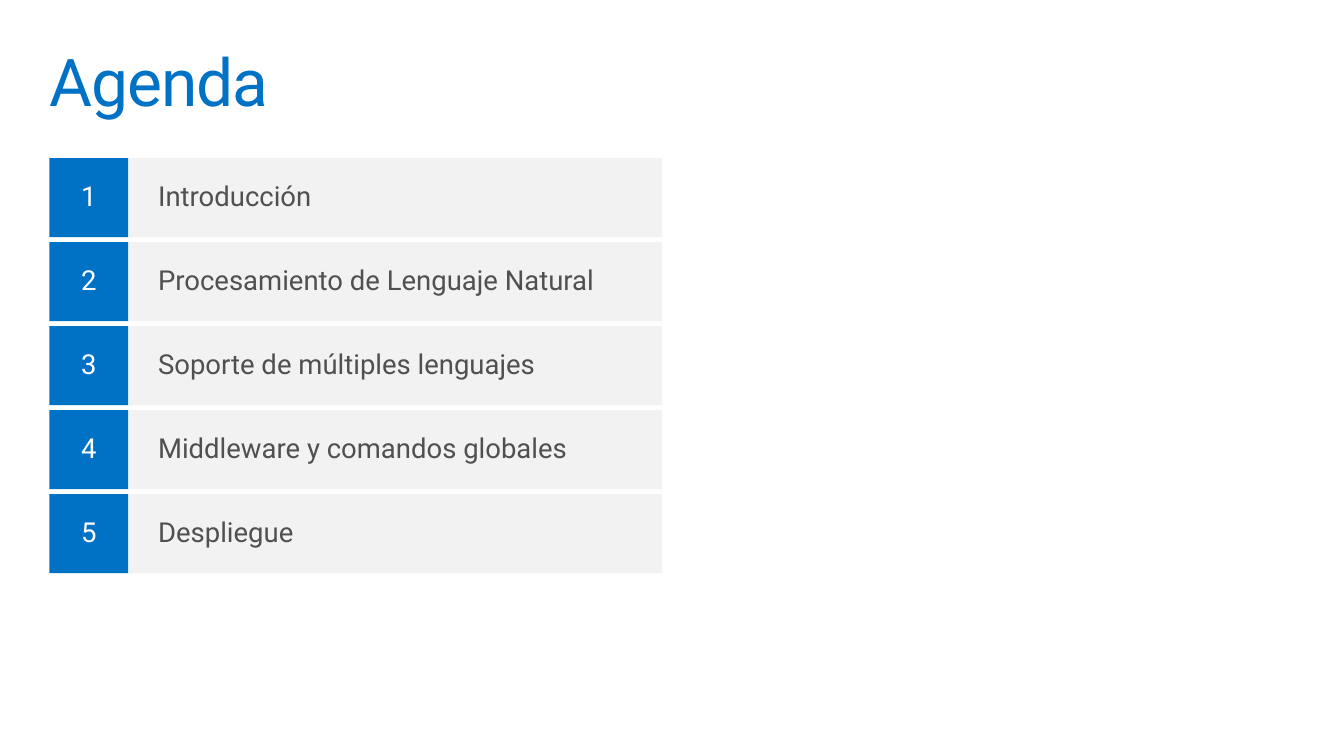
from pptx import Presentation
from pptx.dml.color import RGBColor
from pptx.enum.shapes import MSO_SHAPE
from pptx.enum.text import MSO_ANCHOR, PP_ALIGN
from pptx.util import Inches, Pt

RECTANGLE = MSO_SHAPE.RECTANGLE
TOP, MIDDLE = MSO_ANCHOR.TOP, MSO_ANCHOR.MIDDLE
LEFT, CENTER = PP_ALIGN.LEFT, PP_ALIGN.CENTER

FONT = "Roboto"
COLORS = {"blue": "0072C6", "gray": "F2F2F2", "text": "505050", "white": "FFFFFF"}
TOPICS = [
    "Introducción",
    "Procesamiento de Lenguaje Natural",
    "Soporte de múltiples lenguajes",
    "Middleware y comandos globales",
    "Despliegue",
]


def set_text(shape, text, size, color, align, anchor, margin_x, margin_y):
    text_frame = shape.text_frame
    text_frame.word_wrap = True
    text_frame.vertical_anchor = anchor
    text_frame.margin_left = text_frame.margin_right = Inches(margin_x)
    text_frame.margin_top = text_frame.margin_bottom = Inches(margin_y)
    text_frame.text = text
    paragraph = text_frame.paragraphs[0]
    paragraph.alignment = align
    paragraph.line_spacing = 0.9
    run = paragraph.runs[0]
    run.font.name = FONT
    run.font.size = Pt(size)
    run.font.color.rgb = RGBColor.from_string(COLORS[color])
    return run


def add_box(left, top, width, height, fill):
    shape = slide.shapes.add_shape(
        RECTANGLE, Inches(left), Inches(top), Inches(width), Inches(height))
    shape.shadow.inherit = False
    shape.fill.solid()
    shape.fill.fore_color.rgb = RGBColor.from_string(COLORS[fill])
    shape.line.fill.background()
    return shape


presentation = Presentation()
presentation.slide_width = Inches(13.6)
presentation.slide_height = Inches(7.65)
slide = presentation.slides.add_slide(presentation.slide_layouts[6])

# Title, with slightly tightened letter spacing
title = slide.shapes.add_textbox(Inches(0.4), Inches(0.4), Inches(12.8), Inches(1))
title_run = set_text(title, "Agenda", 48, "blue", LEFT, TOP, 0.1, 0.1)
title_run.font._element.set("spc", "-70")

# Agenda rows: number tile and topic bar
ROW_LEFT, ROW_TOP, ROW_HEIGHT, ROW_GAP = 0.5, 1.6, 0.8, 0.05
BAR_WIDTH = 5.4
for index, topic in enumerate(TOPICS):
    top = ROW_TOP + index * (ROW_HEIGHT + ROW_GAP)
    tile = add_box(ROW_LEFT, top, ROW_HEIGHT, ROW_HEIGHT, "blue")
    set_text(tile, str(index + 1), 20, "white", CENTER, MIDDLE, 0.2, 0.16)
    bar = add_box(ROW_LEFT + ROW_HEIGHT, top, BAR_WIDTH, ROW_HEIGHT, "gray")
    set_text(bar, topic, 20, "text", LEFT, MIDDLE, 0.3, 0.1)

presentation.save("out.pptx")
